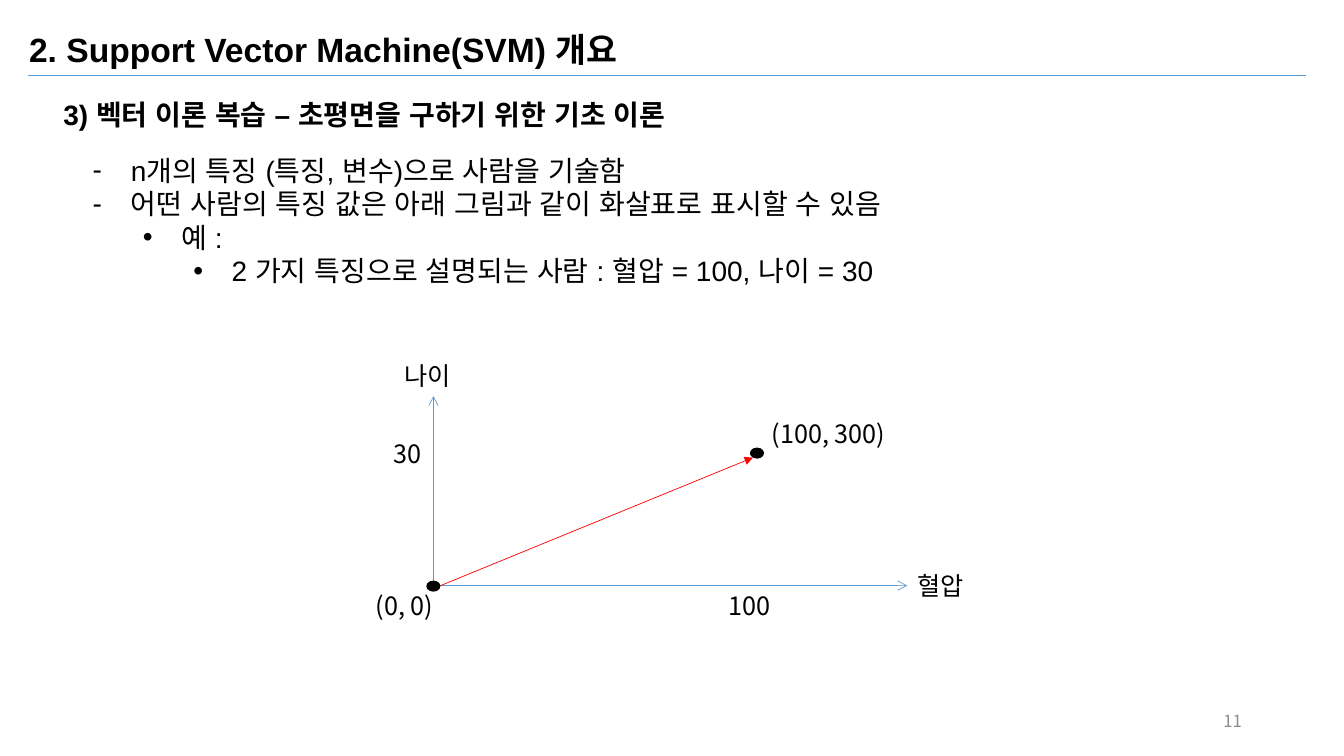
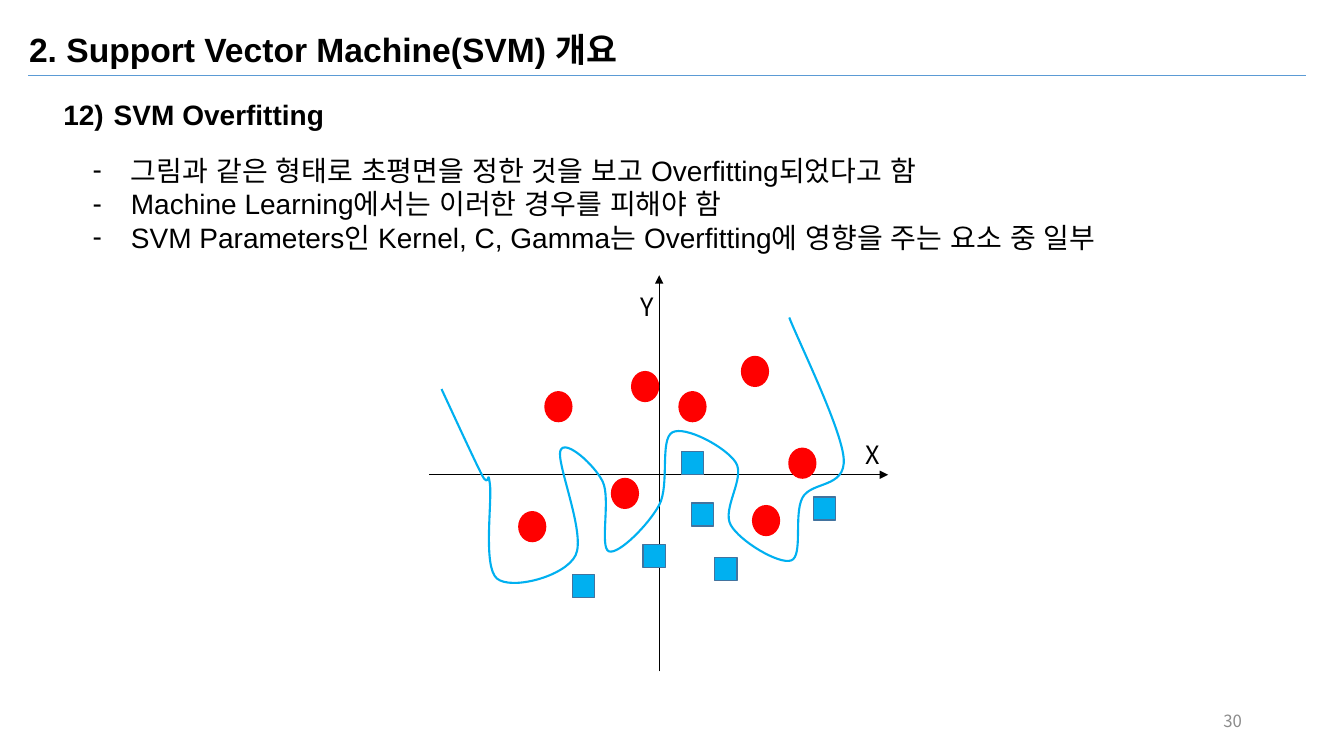
from lxml.etree import SubElement
from pptx import Presentation
from pptx.dml.color import RGBColor
from pptx.enum.shapes import MSO_CONNECTOR, MSO_SHAPE
from pptx.enum.text import MSO_ANCHOR, PP_ALIGN
from pptx.oxml.ns import qn
from pptx.util import Inches, Pt

PX = 9144  # 100 px to the inch
color = RGBColor.from_string
BLACK, RED, SKY, BLUE, GRAY = "000000", "FF0000", "00B0F0", "5B9BD5", "8C8C8C"
SANS, LABEL_FONT = "Arial", "Noto Sans CJK KR"
TITLE = "2. Support Vector Machine(SVM) 개요"


def add_text(slide, box, lines, size=18, font=LABEL_FONT, bold=False, ink=BLACK, wrap=True):
    text_frame = slide.shapes.add_textbox(*[n * PX for n in box]).text_frame
    text_frame.word_wrap = wrap
    text_frame.text = "\n".join(lines)
    for paragraph in text_frame.paragraphs:
        for run in paragraph.runs:
            run.font.name = font
            run.font.size = Pt(size)
            run.font.bold = bold
            run.font.color.rgb = color(ink)
            SubElement(run.font._element, qn("a:ea"), typeface=font)
    return text_frame


def add_line(slide, start, end, ink, width, arrow=None):
    line = slide.shapes.add_connector(MSO_CONNECTOR.STRAIGHT, *[n * PX for n in start + end])
    line.line.color.rgb = color(ink)
    line.line.width = Pt(width)
    if arrow:
        SubElement(line.line._get_or_add_ln(), qn("a:tailEnd"), type=arrow)
    SubElement(line._element.spPr, qn("a:effectLst"))


presentation = Presentation()
presentation.slide_width, presentation.slide_height = Inches(40 / 3), Inches(7.5)

# Page number, heading, first number if the heading is numbered, body height, (level, bullet, text)
pages = [
    (11, "3) 벡터 이론 복습 – 초평면을 구하기 위한 기초 이론", None, 246, [
        (0, "-", "n개의 특징 (특징, 변수)으로 사람을 기술함"),
        (0, "-", "어떤 사람의 특징 값은 아래 그림과 같이 화살표로 표시할 수 있음"),
        (1, "•", "예 :"),
        (2, "•", "2 가지 특징으로 설명되는 사람 : 혈압 = 100, 나이 = 30")]),
    (30, "SVM Overfitting", 12, 145, [
        (0, "-", "그림과 같은 형태로 초평면을 정한 것을 보고 Overfitting되었다고 함"),
        (0, "-", "Machine Learning에서는 이러한 경우를 피해야 함"),
        (0, "-", "SVM Parameters인 Kernel, C, Gamma는 Overfitting에 영향을 주는 요소 중 일부")]),
]

# Title, rule, heading, bullets and page number of each slide
for number, heading, first_number, body_height, bullets in pages:
    slide = presentation.slides.add_slide(presentation.slide_layouts[6])
    add_line(slide, (28, 75), (1296, 75), BLUE, 0.5)
    add_text(slide, (19, 24, 915, 50), [TITLE], 24, SANS, True)

    text_frame = add_text(slide, (53, 92, 915, 44), [heading], 20, SANS, True)
    if first_number:
        properties = text_frame.paragraphs[0]._p.get_or_add_pPr()
        properties.set("marL", str(50 * PX))
        properties.set("indent", str(-50 * PX))
        SubElement(properties, qn("a:buFont"), typeface=SANS)
        SubElement(properties, qn("a:buAutoNum"), type="arabicParenR", startAt=str(first_number))

    text_frame = add_text(slide, (82, 147, 1209, body_height),
                          [text for _, _, text in bullets], 20, SANS)
    for paragraph, (level, bullet, _) in zip(text_frame.paragraphs, bullets):
        paragraph.level = level
        properties = paragraph._p.get_or_add_pPr()
        properties.set("marL", str((38 + 50 * level) * PX))
        properties.set("indent", str(-38 * PX))
        SubElement(properties, qn("a:buFont"), typeface=SANS)
        SubElement(properties, qn("a:buChar"), char=bullet)

    text_frame = add_text(slide, (942, 695, 300, 40), [str(number)], 12, ink=GRAY)
    text_frame.vertical_anchor = MSO_ANCHOR.MIDDLE
    text_frame.paragraphs[0].alignment = PP_ALIGN.RIGHT

vector_slide, overfit_slide = presentation.slides

# Axes and the vector
origin = (430, 581)
add_line(vector_slide, origin, (430, 393), BLUE, 0.5, "arrow")
add_line(vector_slide, origin, (900, 581), BLUE, 0.5, "arrow")
add_line(vector_slide, (437, 581), (747, 454), RED, 0.5, "triangle")
add_line(overfit_slide, (426, 471), (881, 471), BLACK, 1, "triangle")
add_line(overfit_slide, (654, 666), (654, 273), BLACK, 1, "triangle")

# Labels of the two plots
for slide, left, top, width, text, wrap in [
    (vector_slide, 363, 581, 78, "(0, 0)", False),
    (vector_slide, 391, 353, 71, "나이", False),
    (vector_slide, 900, 561, 71, "혈압", False),
    (vector_slide, 756, 410, 133, "(100, 300)", False),
    (vector_slide, 381, 430, 48, "30", False),
    (vector_slide, 713, 581, 62, "100", False),
    (overfit_slide, 631, 284, 14, "Y", True),
    (overfit_slide, 854, 431, 14, "X", True),
]:
    add_text(slide, (left, top, width, 40), [text], wrap=wrap)

# Data points
for slide, preset, width, height, fill, outline, spots in [
    (vector_slide, MSO_SHAPE.OVAL, 14, 11, BLACK, None, [(423, 576), (744, 444)]),
    (overfit_slide, MSO_SHAPE.RECTANGLE, 22, 23, SKY, "43739E",
     [(686, 499), (638, 540), (676, 448), (568, 570), (709, 553), (807, 493)]),
    (overfit_slide, MSO_SHAPE.OVAL, 28, 31, RED, None,
     [(514, 507), (540, 388), (606, 474), (626, 368),
      (673, 388), (735, 353), (746, 501), (782, 444)]),
]:
    for left, top in spots:
        shape = slide.shapes.add_shape(preset, left * PX, top * PX, width * PX, height * PX)
        shape.shadow.inherit = False
        shape.fill.solid()
        shape.fill.fore_color.rgb = color(fill)
        if outline:
            shape.line.color.rgb = color(outline)
            shape.line.width = Pt(1)
        else:
            shape.line.fill.background()

# Overfitted boundary: each knot's tangent is parallel to the line between its neighbours
knots = [(438, 386), (478, 471), (486, 480), (493, 574), (571, 551), (556, 447), (598, 478),
         (604, 547), (654, 501), (667, 429), (730, 459), (725, 521), (785, 556), (796, 494),
         (837, 455), (783, 315)]
padded = knots[:1] + knots + knots[-1:]
points = []
for before, start, end, after in zip(padded, padded[1:], padded[2:], padded[3:]):
    points.append([round(PX * (b + (c - a) / 6)) for a, b, c in zip(before, start, end)])
    points.append([round(PX * (c - (d - b) / 6)) for b, c, d in zip(start, end, after)])
    points.append([n * PX for n in end])
builder = overfit_slide.shapes.build_freeform(knots[0][0] * PX, knots[0][1] * PX)
builder.add_line_segments(points, close=False)
boundary = builder.convert_to_shape()

# Turn every three points into one curve, and fit the frame to the curve itself
outline = next(boundary._element.iter(qn("a:path")))
segments = outline.findall(qn("a:lnTo"))
for first in range(0, len(segments), 3):
    curve = SubElement(outline, qn("a:cubicBezTo"))
    for segment in segments[first:first + 3]:
        curve.append(segment[0])
        outline.remove(segment)
boundary.width, boundary.height = 399 * PX, 263 * PX
outline.set("w", str(399 * PX))
outline.set("h", str(263 * PX))
boundary.shadow.inherit = False
boundary.fill.background()
boundary.line.color.rgb = color(SKY)
boundary.line.width = Pt(1.5)

presentation.save("out.pptx")
